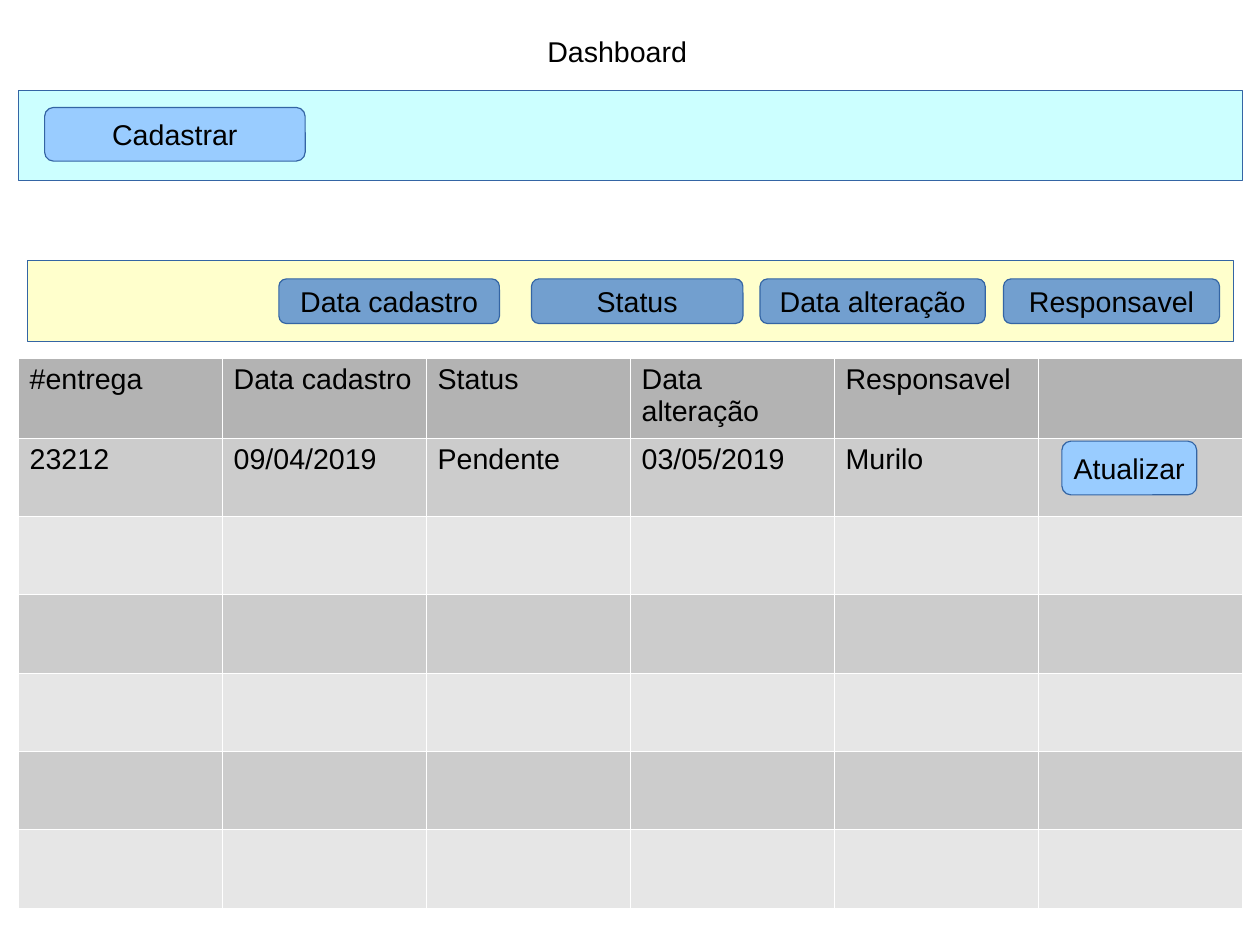
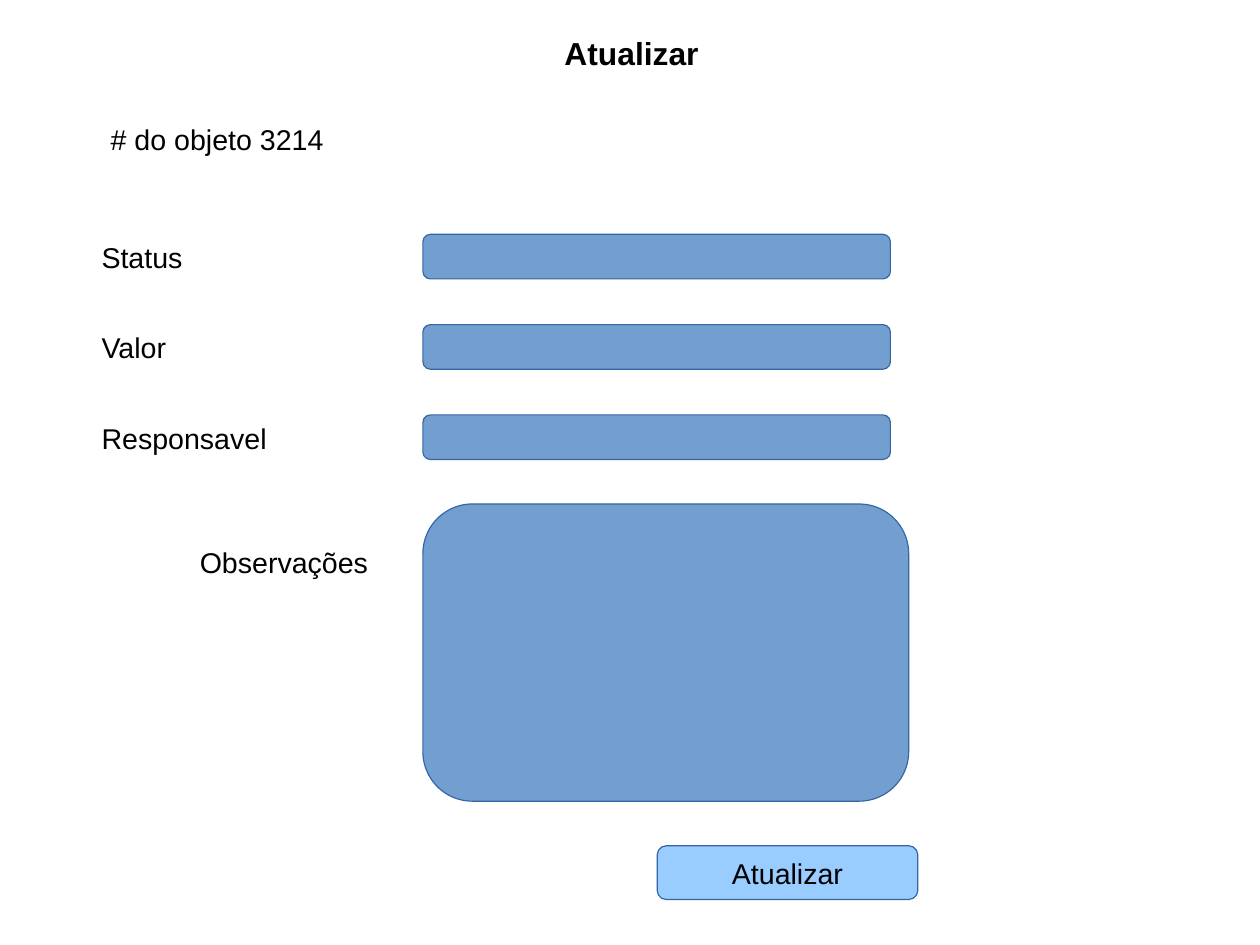
from lxml.etree import SubElement
from pptx import Presentation
from pptx.dml.color import RGBColor
from pptx.enum.shapes import MSO_SHAPE as Shape
from pptx.enum.text import MSO_ANCHOR as Anchor, PP_ALIGN as Align
from pptx.oxml.ns import qn
from pptx.util import Inches, Pt

COLORS = {
    "text": "000000",
    "outline": "3465A4",
    "toolbar": "CCFFFF",
    "filter_bar": "FFFFCC",
    "button": "99CCFF",
    "field": "729FCF",
    "header_row": "B3B3B3",
    "odd_row": "CCCCCC",
    "even_row": "E6E6E6",
    "border": "FFFFFF",
}
FONT = "Arial"
CM_PER_INCH = 2.54


def write(frame, text, size=18, bold=False, align=Align.LEFT):
    para = frame.paragraphs[0]
    para.alignment = align
    span = para.add_run()
    span.text = text
    span.font.name = FONT
    span.font.size = Pt(size)
    span.font.bold = bold
    span.font.color.rgb = RGBColor.from_string(COLORS["text"])


def add_panel(page, kind, color, left, top, width, height, text=""):
    panel = page.shapes.add_shape(
        kind, Inches(left), Inches(top), Inches(width), Inches(height))
    panel.shadow.inherit = False
    panel.fill.solid()
    panel.fill.fore_color.rgb = RGBColor.from_string(COLORS[color])
    panel.line.color.rgb = RGBColor.from_string(COLORS["outline"])
    panel.line.width = Pt(0)
    if text:
        panel.text_frame.word_wrap = False
        panel.text_frame.vertical_anchor = Anchor.MIDDLE
        write(panel.text_frame, text, align=Align.CENTER)


# Page of 28 by 21 cm
deck = Presentation()
deck.slide_width = Inches(28 / CM_PER_INCH)
deck.slide_height = Inches(21 / CM_PER_INCH)
blank = deck.slide_layouts[6]
dashboard = deck.slides.add_slide(blank)
update = deck.slides.add_slide(blank)

# Titles and labels: page, text, left, top, width, height, size, bold
field_labels = ["Status", "Valor", "Responsavel"]
field_tops = [2.05 + 0.79 * row for row in range(len(field_labels))]
labels = [
    (dashboard, "Dashboard", 4.69, 0.25, 2.44, 0.38, 18, False),
    (update, "Atualizar", 4.84, 0.25, 1.54, 0.72, 20, True),
    (update, "# do objeto 3214", 0.87, 1.02, 2.6, 0.38, 18, False),
    (update, "Observações", 1.65, 4.72, 3.54, 0.38, 18, False),
]
for text, top in zip(field_labels, field_tops):
    labels.append((update, text, 0.79, top, 3.54, 0.38, 18, False))
for page, text, left, top, width, height, size, bold in labels:
    box = page.shapes.add_textbox(
        Inches(left), Inches(top), Inches(width), Inches(height))
    box.text_frame.word_wrap = True
    write(box.text_frame, text, size, bold)

# Dashboard: toolbar
add_panel(dashboard, Shape.RECTANGLE, "toolbar", 0.16, 0.79, 10.71, 0.79)
add_panel(dashboard, Shape.ROUNDED_RECTANGLE, "button",
          0.39, 0.94, 2.28, 0.47, "Cadastrar")

# Dashboard: delivery table
contents = [
    ["#entrega", "Data cadastro", "Status", "Data alteração", "Responsavel", ""],
    ["23212", "09/04/2019", "Pendente", "03/05/2019", "Murilo", ""],
] + [[""] * 6 for _ in range(5)]
table_frame = dashboard.shapes.add_table(
    len(contents), len(contents[0]),
    Inches(0.16), Inches(3.13), Inches(10.71), Inches(4.8))
table = table_frame.table
for row_number, texts in enumerate(contents):
    if row_number == 0:
        row_color = "header_row"
    else:
        row_color = "odd_row" if row_number % 2 else "even_row"
    for column_number, text in enumerate(texts):
        cell = table.cell(row_number, column_number)
        if text:
            write(cell.text_frame, text)
        # Borders go before the fill
        properties = cell._tc.get_or_add_tcPr()
        for side in ("a:lnL", "a:lnR", "a:lnT", "a:lnB"):
            border = SubElement(properties, qn(side), w=str(int(Pt(0.06))))
            solid = SubElement(border, qn("a:solidFill"))
            SubElement(solid, qn("a:srgbClr"), val=COLORS["border"])
        cell.fill.solid()
        cell.fill.fore_color.rgb = RGBColor.from_string(COLORS[row_color])

# Dashboard: filter bar
add_panel(dashboard, Shape.RECTANGLE, "filter_bar", 0.24, 2.28, 10.55, 0.71)
filters = [
    ("Data cadastro", 2.44, 1.93),
    ("Status", 4.65, 1.85),
    ("Data alteração", 6.65, 1.97),
    ("Responsavel", 8.78, 1.89),
]
for text, left, width in filters:
    add_panel(dashboard, Shape.ROUNDED_RECTANGLE, "field",
              left, 2.44, width, 0.39, text)

# Dashboard: row action
add_panel(dashboard, Shape.ROUNDED_RECTANGLE, "button",
          9.29, 3.86, 1.18, 0.47, "Atualizar")

# Update form: fields, notes area and button
for top in field_tops:
    add_panel(update, Shape.ROUNDED_RECTANGLE, "field", 3.7, top, 4.09, 0.39)
add_panel(update, Shape.ROUNDED_RECTANGLE, "field", 3.7, 4.41, 4.25, 2.6)
add_panel(update, Shape.ROUNDED_RECTANGLE, "button",
          5.75, 7.4, 2.28, 0.47, "Atualizar")

deck.save("out.pptx")
